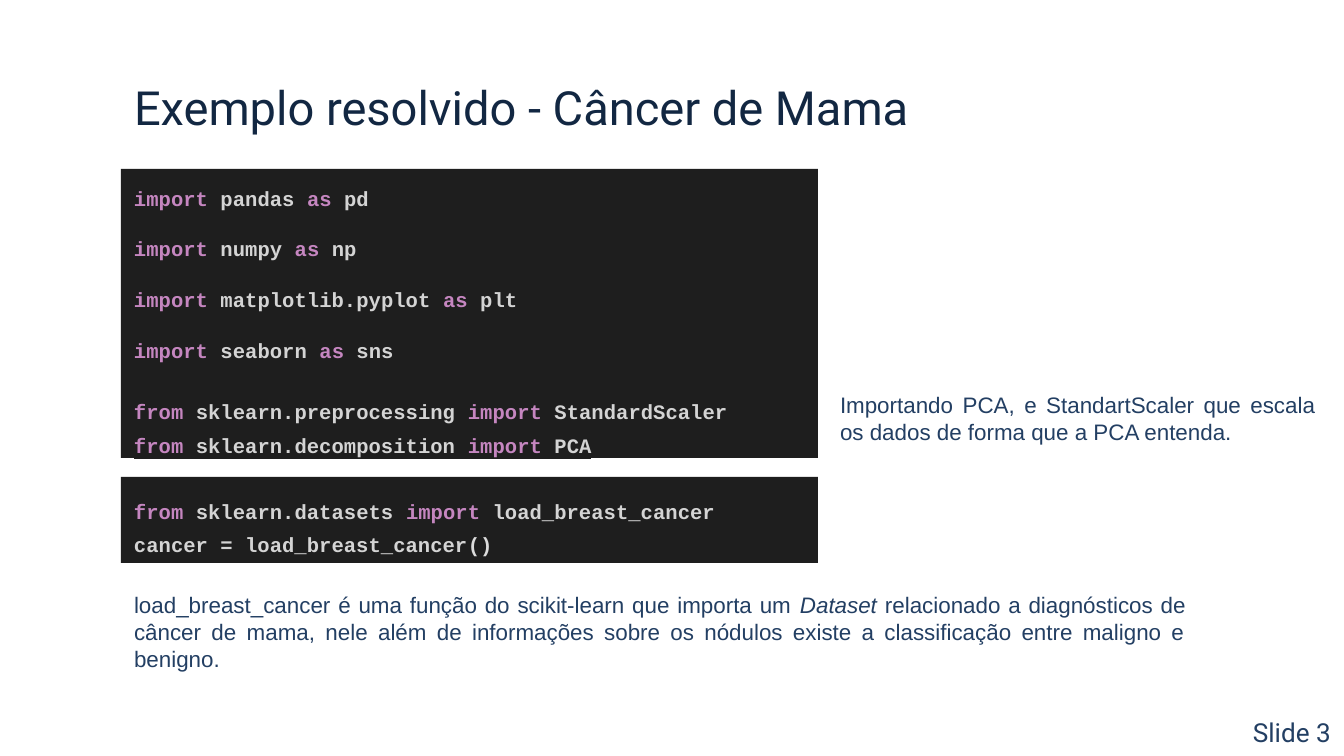
from lxml import etree
from pptx import Presentation
from pptx.dml.color import RGBColor
from pptx.enum.shapes import MSO_SHAPE
from pptx.enum.text import MSO_ANCHOR, PP_ALIGN
from pptx.oxml.ns import qn
from pptx.util import Emu, Pt

RECTANGLE = MSO_SHAPE.RECTANGLE
TOP, MIDDLE = MSO_ANCHOR.TOP, MSO_ANCHOR.MIDDLE
LEFT, RIGHT, JUSTIFY = PP_ALIGN.LEFT, PP_ALIGN.RIGHT, PP_ALIGN.JUSTIFY

NAVY = RGBColor(0x12, 0x27, 0x42)
BLUE = RGBColor(0x23, 0x3F, 0x63)
CODE_BACK = RGBColor(0x1E, 0x1E, 0x1E)
CODE_TEXT = RGBColor(0xD4, 0xD4, 0xD4)
KEYWORD = RGBColor(0xC5, 0x86, 0xC0)
BRACKET = RGBColor(0xDC, 0xDC, 0xDC)
TOKEN_COLORS = {"import": KEYWORD, "from": KEYWORD, "as": KEYWORD, "()": BRACKET}

EMU_PER_PX = 914400 / 134.4
MARGIN = 121
INSET = 13

IMPORT_LINES = [
    ("import| pandas |as| pd", 1.15, 0),
    ("import| numpy |as| np", 1.15, 12),
    ("import| matplotlib.pyplot |as| plt", 1.15, 12),
    ("import| seaborn |as| sns", 1.15, 12),
    ("from| sklearn.preprocessing |import| StandardScaler", 1.36, 15),
    ("from| sklearn.decomposition |import| PCA", 1.36, 0),
]
DATASET_LINES = [
    ("from| sklearn.datasets |import| load_breast_cancer", 1.36, 0),
    ("cancer = load_breast_cancer|()", 1.36, 0),
]


def px(length):
    return Emu(round(length * EMU_PER_PX))


def set_frame(box, anchor=TOP):
    frame = box.text_frame
    frame.word_wrap = True
    frame.vertical_anchor = anchor
    frame.margin_left = frame.margin_right = px(INSET)
    frame.margin_top = frame.margin_bottom = px(INSET)
    return frame


def set_font(para, name, size, color=None):
    para.font.name = name
    para.font.size = Pt(size)
    if color is not None:
        para.font.color.rgb = color


def add_text(page, area, text, name, size, color, align=LEFT, anchor=TOP, spacing=1.0):
    box = page.shapes.add_textbox(*map(px, area))
    para = set_frame(box, anchor).paragraphs[0]
    para.alignment = align
    para.line_spacing = spacing
    set_font(para, name, size, color)
    for index, piece in enumerate(text.split("*")):
        span = para.add_run()
        span.text = piece
        if index % 2:
            span.font.italic = True


def highlight(span, color):
    fill = span.font._element.find(qn("a:solidFill"))
    mark = etree.Element(qn("a:highlight"))
    etree.SubElement(mark, qn("a:srgbClr"), val=str(color))
    fill.addnext(mark)


def add_code(page, area, lines):
    box = page.shapes.add_shape(RECTANGLE, *map(px, area))
    box.shadow.inherit = False
    box.fill.solid()
    box.fill.fore_color.rgb = CODE_BACK
    box.line.fill.background()
    frame = set_frame(box)
    for index, (line, spacing, before) in enumerate(lines):
        para = frame.add_paragraph() if index else frame.paragraphs[0]
        para.alignment = LEFT
        para.line_spacing = spacing
        para.space_before = Pt(before)
        set_font(para, "Courier New", 11)
        para.font.bold = True
        for piece in line.split("|"):
            span = para.add_run()
            span.text = piece
            span.font.color.rgb = TOKEN_COLORS.get(piece, CODE_TEXT)
            highlight(span, CODE_BACK)


def main():
    deck = Presentation()
    deck.slide_width, deck.slide_height = px(1344), px(756)
    page = deck.slides.add_slide(deck.slide_layouts[6])

    add_text(page, (MARGIN, 66, 1078, 85), "Exemplo resolvido - Câncer de Mama",
             "Roboto", 25.2, NAVY)
    add_code(page, (MARGIN, 169, 697, 289), IMPORT_LINES)
    add_text(page, (1145, 707, 199, 55), "Slide 3", "Roboto", 14, BLUE,
             RIGHT, MIDDLE, 0.8)
    add_text(page, (827, 378, 502, 82),
             "Importando PCA, e StandartScaler que escala os dados de forma "
             "que a PCA entenda.", "Arial", 12, BLUE, JUSTIFY)
    add_code(page, (MARGIN, 477, 697, 86), DATASET_LINES)
    add_text(page, (MARGIN, 578, 1078, 109),
             "load_breast_cancer é uma função do scikit-learn que importa um "
             "*Dataset* relacionado a diagnósticos de câncer de mama, nele além "
             "de informações sobre os nódulos existe a classificação entre "
             "maligno e benigno.", "Arial", 12, BLUE, JUSTIFY)

    deck.save("out.pptx")


if __name__ == "__main__":
    main()
